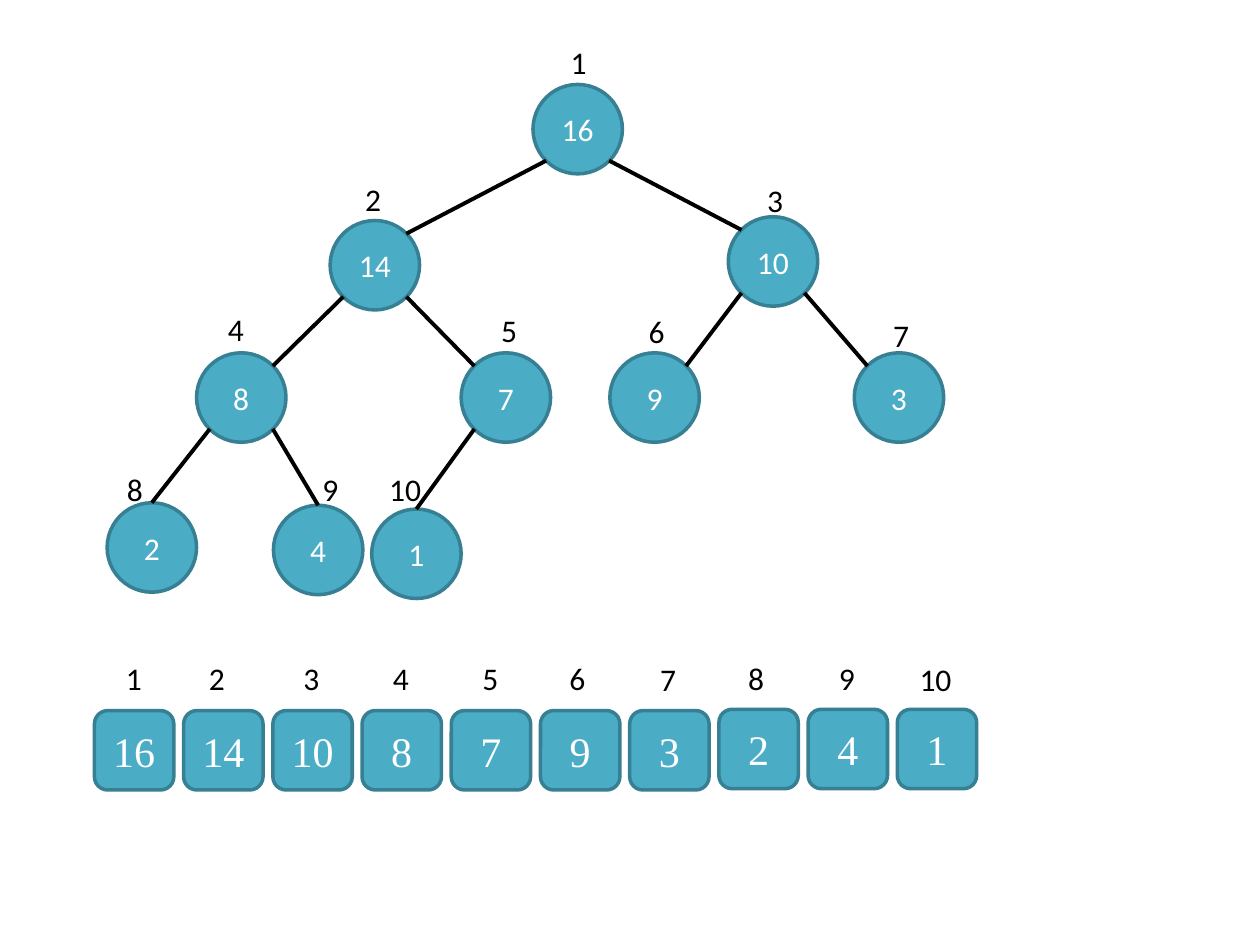
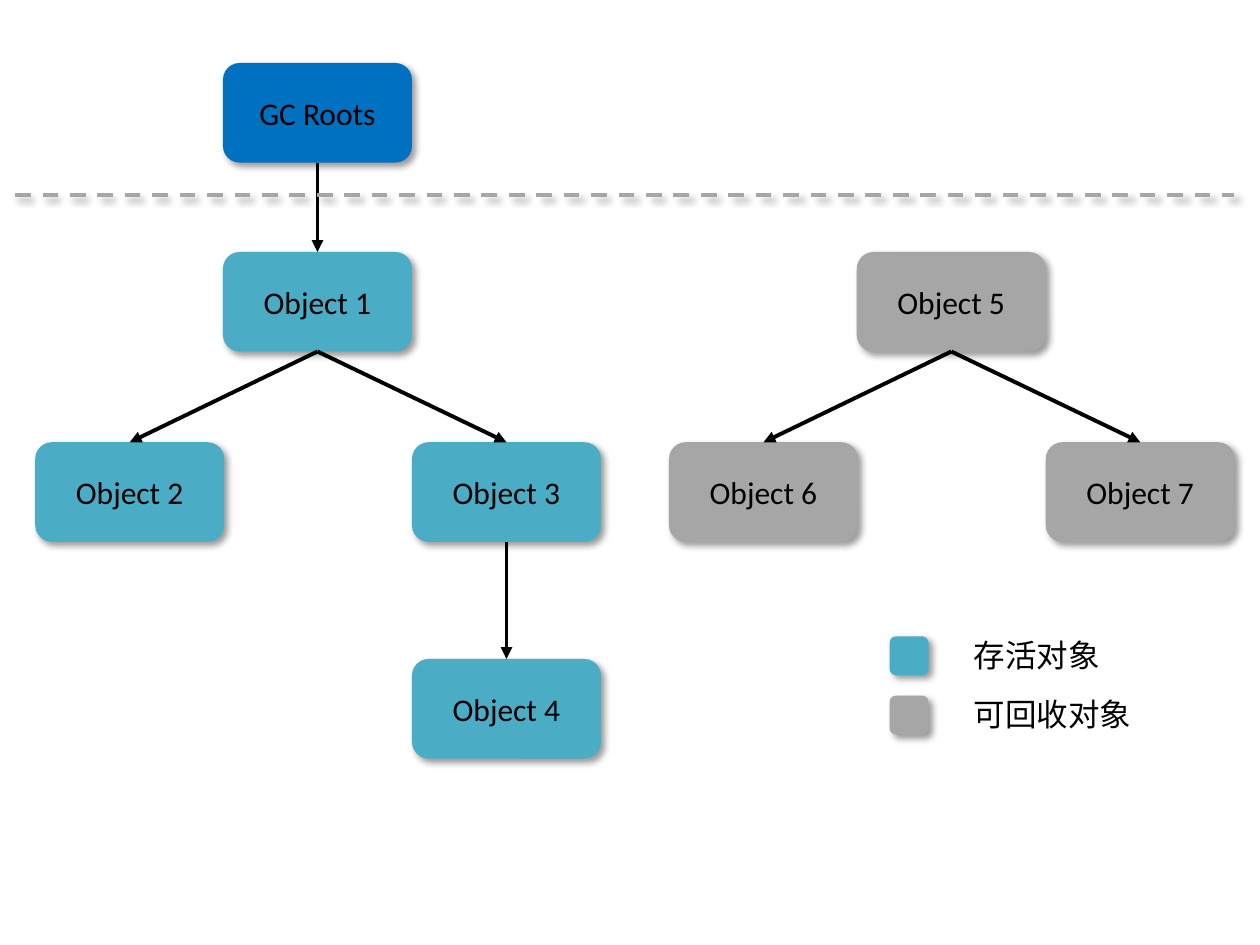
from dataclasses import dataclass
from typing import NamedTuple, Optional

from lxml import etree
from pptx import Presentation
from pptx import util as u
from pptx.dml.color import RGBColor
from pptx.enum import dml, shapes, text
from pptx.oxml import ns

KIND = shapes.MSO_SHAPE


@dataclass(frozen=True)
class Theme:
    teal: str = "4BACC6"
    edge: str = "377F92"
    blue: str = "0070C0"
    gray: str = "A6A6A6"
    black: str = "000000"
    white: str = "FFFFFF"
    sans: str = "Calibri"
    serif: str = "Times New Roman"
    cjk: str = "Noto Sans CJK JP"
    body: int = 18
    large: int = 24
    rim: float = 2
    stroke: float = 2.25


T = Theme()


class Point(NamedTuple):
    x: float
    y: float


class Node(NamedTuple):
    """Heap node: value, corner of its circle, corner of its index label."""
    value: int
    at: Point
    label: Point


class Cell(NamedTuple):
    """Array cell: top edge, corner of its index label."""
    top: float
    label: Point


class Box(NamedTuple):
    name: str
    at: Point
    fill: str
    parent: Optional[int] = None


class Key(NamedTuple):
    name: str
    fill: str
    top: float
    width: float


# Shared drawing helpers
def write(frame, words: str, size: int, font: str, color: str) -> None:
    run = frame.paragraphs[0].add_run()
    run.text = words
    run.font.size = u.Pt(size)
    run.font.name = font
    run.font.color.rgb = RGBColor.from_string(color)
    east = etree.SubElement(run.font._element, ns.qn("a:ea"))
    east.set("typeface", font)


def shade(item, on: bool) -> None:
    """Give a shape or line a soft lower-right shadow, or none."""
    props = item._element.spPr
    for old in props.findall(ns.qn("a:effectLst")):
        props.remove(old)
    list_ = etree.SubElement(props, ns.qn("a:effectLst"))
    if on:
        cast = etree.SubElement(
            list_, ns.qn("a:outerShdw"), blurRad=str(u.Pt(4)), dist=str(u.Pt(3)),
            dir="2700000", algn="tl", rotWithShape="0")
        tone = etree.SubElement(cast, ns.qn("a:srgbClr"), val=T.black)
        etree.SubElement(tone, ns.qn("a:alpha"), val="40000")


def shape(slide, kind, at: Point, wide: float, high: float, fill: str,
          words: str = "", size: int = T.body, font: str = T.sans,
          ink: str = T.black, rim: Optional[str] = None, soft: bool = False) -> None:
    item = slide.shapes.add_shape(
        kind, u.Inches(at.x), u.Inches(at.y), u.Inches(wide), u.Inches(high))
    item.fill.solid()
    item.fill.fore_color.rgb = RGBColor.from_string(fill)
    if rim:
        item.line.color.rgb = RGBColor.from_string(rim)
        item.line.width = u.Pt(T.rim)
    else:
        item.line.fill.background()
    item.shadow.inherit = False
    shade(item, soft)
    if words:
        frame = item.text_frame
        frame.vertical_anchor = text.MSO_ANCHOR.MIDDLE
        frame.paragraphs[0].alignment = text.PP_ALIGN.CENTER
        write(frame, words, size, font, ink)


def label(slide, words: str, at: Point, wide: float, font: str = T.sans) -> None:
    item = slide.shapes.add_textbox(
        u.Inches(at.x), u.Inches(at.y), u.Inches(wide), u.Inches(0.4))
    frame = item.text_frame
    frame.word_wrap = False
    frame.auto_size = text.MSO_AUTO_SIZE.SHAPE_TO_FIT_TEXT
    write(frame, words, T.body, font, T.black)


def line(slide, start: Point, end: Point, color: str = T.black,
         arrow: bool = False, dash: bool = False, soft: bool = False) -> None:
    item = slide.shapes.add_connector(
        shapes.MSO_CONNECTOR.STRAIGHT, u.Inches(start.x), u.Inches(start.y),
        u.Inches(end.x), u.Inches(end.y))
    item.line.color.rgb = RGBColor.from_string(color)
    item.line.width = u.Pt(T.stroke)
    if dash:
        item.line.dash_style = dml.MSO_LINE.DASH
    if arrow:
        etree.SubElement(item.line._get_or_add_ln(), ns.qn("a:tailEnd"), type="triangle")
    shade(item, soft)


def index(slide, number: int, at: Point) -> None:
    label(slide, str(number), at, 0.33 if number < 10 else 0.46)


# Slide 1: a max heap as a tree and as an array
DISC = 0.71
DIAG = 0.25  # centre to the diagonal points of a circle
CELL = 0.63
PITCH = 0.708

HEAP = [
    Node(16, Point(4.23, 0.67), Point(4.43, 0.29)),
    Node(14, Point(2.62, 1.75), Point(2.8, 1.38)),
    Node(10, Point(5.78, 1.72), Point(5.99, 1.39)),
    Node(8, Point(1.56, 2.8), Point(1.71, 2.41)),
    Node(7, Point(3.66, 2.8), Point(3.88, 2.42)),
    Node(9, Point(4.84, 2.8), Point(5.05, 2.43)),
    Node(3, Point(6.78, 2.8), Point(6.99, 2.46)),
    Node(2, Point(0.85, 3.99), Point(0.91, 3.68)),
    Node(4, Point(2.17, 4.01), Point(2.46, 3.68)),
    Node(1, Point(2.95, 4.04), Point(2.99, 3.68)),
]
LEFTS = [0.9, 1.56, 2.31, 3.02, 3.73, 4.42, 5.14, 5.84, 6.56, 7.2]
CELLS = [Cell(5.64 if i < 7 else 5.63, Point(x, 5.19 if i in (6, 9) else 5.18))
         for i, x in enumerate(LEFTS)]


def mid(node: Node) -> Point:
    return Point(node.at.x + DISC / 2, node.at.y + DISC / 2)


def branch(slide, number: int) -> None:
    """Join a node to its parent, which has half its number."""
    low, top = mid(HEAP[number - 1]), mid(HEAP[number // 2 - 1])
    side = -DIAG if number % 2 == 0 else DIAG
    start = Point(top.x + side, top.y + DIAG)
    if number < 8:
        end = Point(low.x - side, low.y - DIAG)
    else:  # the last row is joined at the top of the circle
        end = Point(low.x, low.y - DISC / 2)
    line(slide, start, end)


def heap(slide) -> None:
    for node in HEAP:
        shape(slide, KIND.OVAL, node.at, DISC, DISC, T.teal, str(node.value),
              ink=T.white, rim=T.edge)
    for number in range(2, len(HEAP) + 1):
        branch(slide, number)
    for number, (node, cell) in enumerate(zip(HEAP, CELLS), 1):
        index(slide, number, node.label)
        at = Point(0.75 + PITCH * (number - 1), cell.top)
        shape(slide, KIND.ROUNDED_RECTANGLE, at, CELL, CELL, T.teal,
              str(node.value), T.large, T.serif, T.white, T.edge)
        index(slide, number, cell.label)


# Slide 2: objects reached from the roots, and those to reclaim
WIDE, HIGH = 1.5, 0.79
BOXES = [
    Box("GC Roots", Point(1.77, 0.5), T.blue),
    Box("Object 1", Point(1.77, 2), T.teal, 0),
    Box("Object 2", Point(0.28, 3.51), T.teal, 1),
    Box("Object 3", Point(3.27, 3.51), T.teal, 1),
    Box("Object 4", Point(3.27, 5.23), T.teal, 3),
    Box("Object 5", Point(6.8, 2), T.gray),
    Box("Object 6", Point(5.31, 3.51), T.gray, 5),
    Box("Object 7", Point(8.3, 3.51), T.gray, 5),
]
KEYS = [Key("存活对象", T.teal, 5, 1.21), Key("可回收对象", T.gray, 5.47, 1.46)]


def reach(slide) -> None:
    for box in BOXES:
        shape(slide, KIND.ROUNDED_RECTANGLE, box.at, WIDE, HIGH, box.fill,
              box.name, soft=True)
    for box in BOXES:
        if box.parent is not None:
            top = BOXES[box.parent].at
            line(slide, Point(top.x + WIDE / 2, top.y + HIGH),
                 Point(box.at.x + WIDE / 2, box.at.y), arrow=True)
    line(slide, Point(0.12, 1.55), Point(9.79, 1.55), T.gray, dash=True, soft=True)
    # Legend
    for key in KEYS:
        shape(slide, KIND.ROUNDED_RECTANGLE, Point(7.06, key.top + 0.05),
              0.31, 0.31, key.fill, soft=True)
        label(slide, key.name, Point(7.63, key.top), key.width, T.cjk)


def main() -> None:
    deck = Presentation()
    deck.slide_width, deck.slide_height = u.Inches(10), u.Inches(7.5)
    for draw in (heap, reach):
        draw(deck.slides.add_slide(deck.slide_layouts[6]))
    deck.save("out.pptx")


if __name__ == "__main__":
    main()
